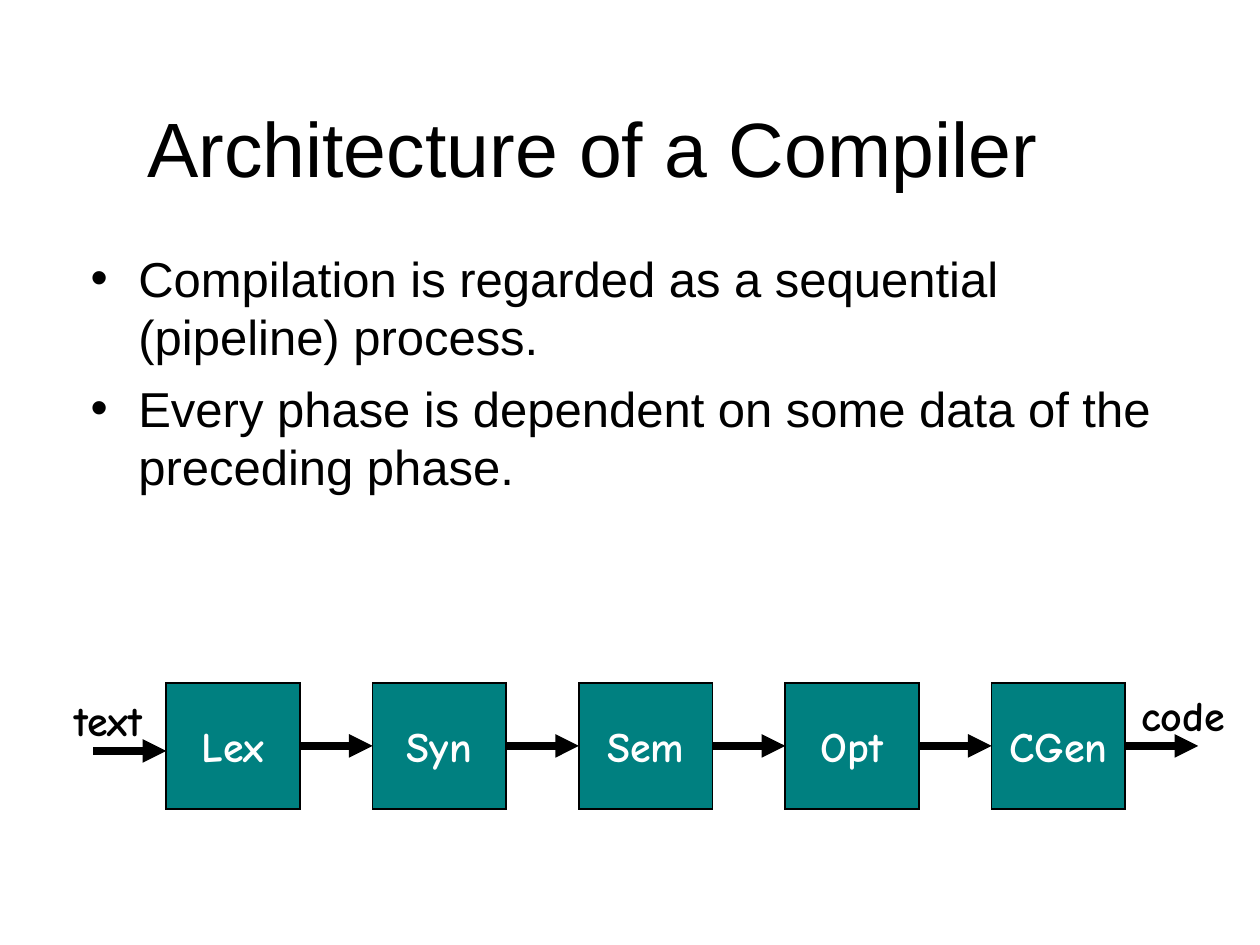
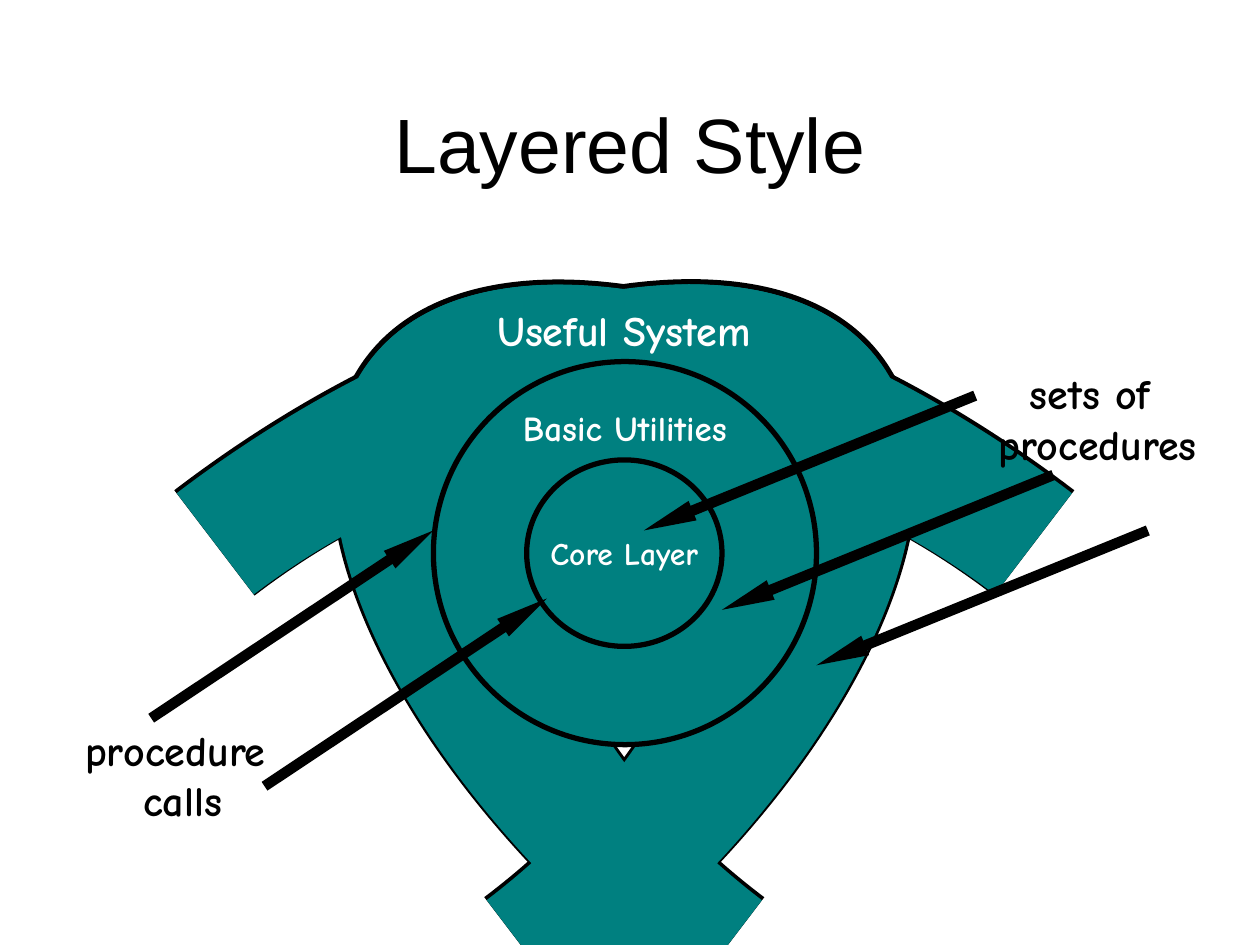
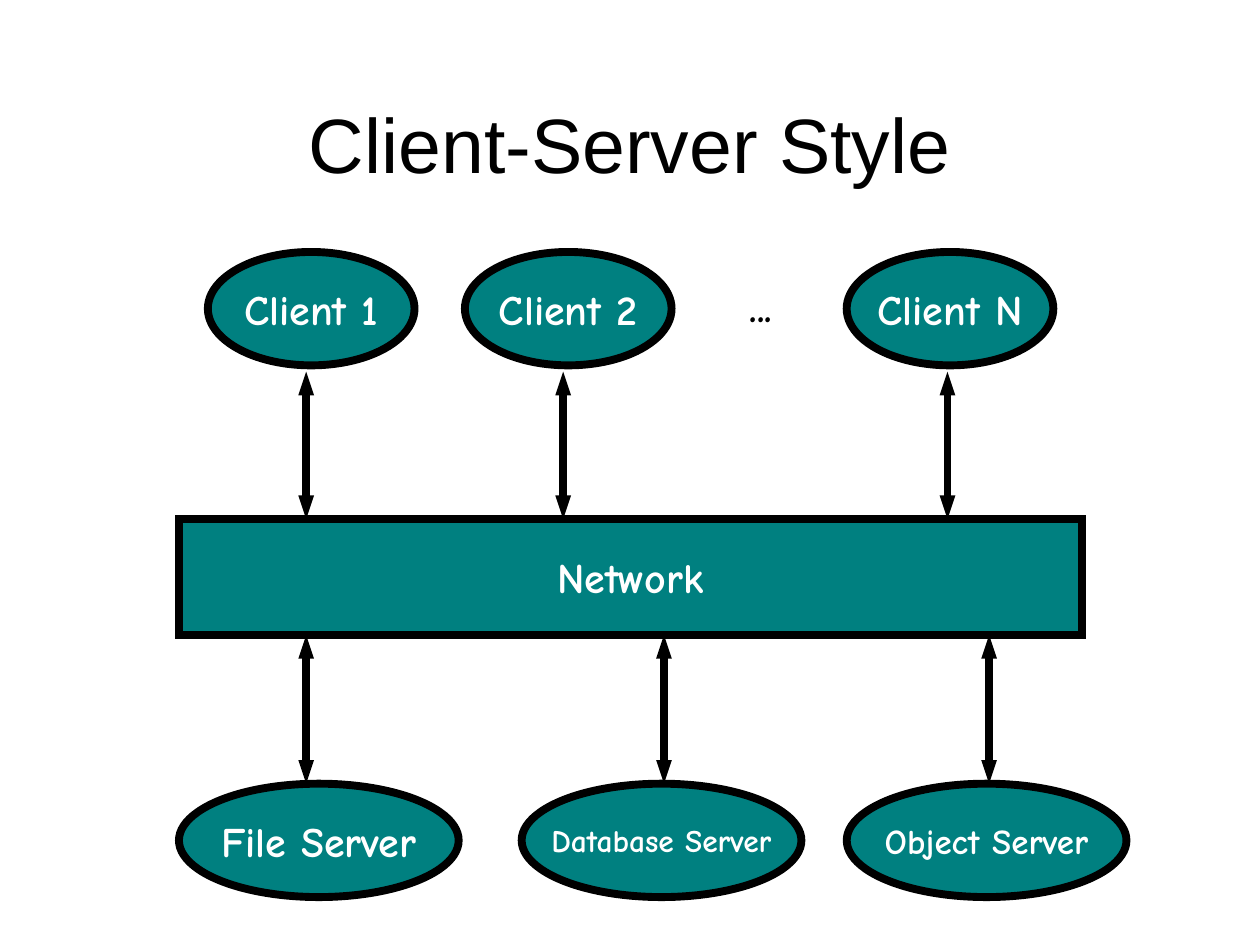
"""Build three slides on software architecture styles."""
import lxml.etree
import pptx
import pptx.dml.color
import pptx.enum.shapes
import pptx.enum.text
import pptx.oxml.ns
import pptx.util

Inches = pptx.util.Inches
Pt = pptx.util.Pt
Shapes = pptx.enum.shapes.MSO_SHAPE
Anchor = pptx.enum.text.MSO_ANCHOR
Align = pptx.enum.text.PP_ALIGN
qn = pptx.oxml.ns.qn

TEAL, BLACK, WHITE = "008080", "000000", "FFFFFF"
TITLE_FONT, LABEL_FONT = "Arial", "Comic Neue"
TITLE_BOX = (0.5, 0.3, 9, 1.25)

ARCH_POINTS = [
    (1.01, 5.07),
    (1.01, 3.4), (1.69, 2.03), (2.53, 2.03),
    (3.38, 2.03), (4.06, 3.4), (4.06, 5.07),
    (5.07, 5.07),
    (5.07, 2.27), (3.93, 0), (2.53, 0),
    (1.14, 0), (0, 2.27), (0, 5.07),
]
ARCH_CURVES = (0, 3, 7, 10)
ARCH_TILT = 52.7


def rgb(value):
    """Turn a hex string into a colour."""
    return pptx.dml.color.RGBColor.from_string(value)


def inches(values):
    """Turn numbers into lengths in inches."""
    return [Inches(value) for value in values]


def shift(box, left, top, *size):
    """Move a place given inside a box to the slide."""
    return (box[0] + left, box[1] + top, *size)


def set_font(paragraph, name, size, color, bold=False):
    """Format a whole paragraph."""
    font = paragraph.font
    font.name, font.size, font.bold = name, Pt(size), bold
    font.color.rgb = rgb(color)


def paint(shape, fill, line_width):
    """Give a shape its fill and black outline with sharp corners."""
    shape.shadow.inherit = False
    if fill:
        shape.fill.solid()
        shape.fill.fore_color.rgb = rgb(fill)
    else:
        shape.fill.background()
    if line_width:
        shape.line.color.rgb = rgb(BLACK)
        shape.line.width = Pt(line_width)
        outline = shape.element.spPr.find(qn("a:ln"))
        lxml.etree.SubElement(outline, qn("a:miter"), lim="800000")
    else:
        shape.line.fill.background()


def write_label(shape, text, size, color):
    """Write centred bold lines into a shape."""
    frame = shape.text_frame
    frame.word_wrap = False
    frame.vertical_anchor = Anchor.MIDDLE
    frame.text = text
    for paragraph in frame.paragraphs:
        paragraph.alignment = Align.CENTER
        set_font(paragraph, LABEL_FONT, size, color, bold=True)


def add_node(slide, kind, place, text, line_width, size=24, fill=TEAL):
    """Add a labelled shape."""
    shape = slide.shapes.add_shape(kind, *inches(place))
    paint(shape, fill, line_width)
    write_label(shape, text, size, WHITE)
    return shape


def add_label(slide, place, text, color=BLACK):
    """Add a free-standing label."""
    shape = slide.shapes.add_textbox(*inches(place))
    write_label(shape, text, 24, color)
    shape.text_frame.auto_size = pptx.enum.text.MSO_AUTO_SIZE.NONE


def add_arrow(slide, start, end, line_width, head=("med", "med"), both=False):
    """Add an arrow whose head is given as width and length."""
    arrow = slide.shapes.add_connector(
        pptx.enum.shapes.MSO_CONNECTOR.STRAIGHT, *inches((*start, *end)))
    arrow.line.color.rgb = rgb(BLACK)
    arrow.line.width = Pt(line_width)
    properties = arrow.element.spPr
    outline = properties.find(qn("a:ln"))
    for tag in ["a:headEnd", "a:tailEnd"] if both else ["a:tailEnd"]:
        lxml.etree.SubElement(
            outline, qn(tag), type="triangle", w=head[0], len=head[1])
    lxml.etree.SubElement(properties, qn("a:effectLst"))
    return arrow


def add_titled_slide(presentation, text, box=TITLE_BOX):
    """Add a title-only slide and format its title."""
    slide = presentation.slides.add_slide(presentation.slide_layouts[5])
    title = slide.shapes.title
    title.left, title.top, title.width, title.height = inches(box)
    frame = title.text_frame
    frame.text = text
    frame.word_wrap = True
    frame.auto_size = pptx.enum.text.MSO_AUTO_SIZE.NONE
    frame.vertical_anchor = Anchor.BOTTOM
    frame.paragraphs[0].alignment = Align.CENTER
    set_font(frame.paragraphs[0], TITLE_FONT, 44, BLACK)
    return slide


def add_bullets(slide, box, items):
    """Add a bulleted list."""
    frame = slide.shapes.add_textbox(*inches(box)).text_frame
    frame.word_wrap = True
    frame.text = "\n".join(items)
    for index, paragraph in enumerate(frame.paragraphs):
        properties = paragraph._p.get_or_add_pPr()
        properties.set("marL", str(Inches(0.38)))
        properties.set("indent", str(-Inches(0.38)))
        lxml.etree.SubElement(properties, qn("a:buFont"), typeface=TITLE_FONT)
        lxml.etree.SubElement(properties, qn("a:buChar"), char="•")
        if index:
            paragraph.space_before = Pt(7)
        set_font(paragraph, TITLE_FONT, 28, BLACK)


def add_pipeline(slide, box, phases):
    """Add evenly spaced phases joined by arrows, with input and output."""
    width, height, reach = 1.06, box[3], 0.58
    step = (box[2] - width) / (len(phases) - 1)
    nodes = [
        add_node(slide, Shapes.RECTANGLE,
                 shift(box, index * step, 0, width, height), phase, 1)
        for index, phase in enumerate(phases)
    ]
    add_label(slide, shift(box, -0.83, 0.04, 0.74, 0.5), "text")
    add_label(slide, shift(box, box[2] + 0.02, 0, 0.88, 0.5), "code")
    add_arrow(slide, shift(box, -reach, 0.54), shift(box, 0, 0.54), 4.5)
    for index, node in enumerate(nodes):
        right = index * step + width
        arrow = add_arrow(slide, shift(box, right, height / 2),
                          shift(box, right + reach, height / 2), 4.5)
        arrow.begin_connect(node, 3)
        if index + 1 < len(nodes):
            arrow.end_connect(nodes[index + 1], 1)


def add_arch(slide, box, tilt, line_width):
    """Add a tilted arch whose sides are cubic curves."""
    points = [inches(shift(box, x, y)) for x, y in ARCH_POINTS]
    builder = slide.shapes.build_freeform(*points[0])
    builder.add_line_segments(points[1:], close=True)
    arch = builder.convert_to_shape()
    path = next(arch.element.iter(qn("a:path")))
    segments = path.findall(qn("a:lnTo"))
    for first in ARCH_CURVES:
        curve = segments[first]
        curve.tag = qn("a:cubicBezTo")
        for segment in segments[first + 1:first + 3]:
            curve.append(segment[0])
            path.remove(segment)
    arch.rotation = tilt
    paint(arch, TEAL, line_width)


def add_shirt(slide, box):
    """Add two crossing arches, first outlined and then filled slightly lower."""
    for spread, top, line_width in ((0.01, -0.16, 3), (0, -0.14, None)):
        for side in (1, -1):
            add_arch(slide, shift(box, 1.01 + side * spread, top),
                     side * ARCH_TILT % 360, line_width)


def add_layers(slide, box):
    """Add the nested layers with their labels and arrows."""
    add_shirt(slide, box)
    add_label(slide, shift(box, -0.84, 3.7, 1.76, 0.9), "procedure \ncalls")
    utilities = add_node(slide, Shapes.OVAL, shift(box, 2.03, 0.87, 3.04, 3.04),
                         "Basic Utilities", 3, size=20)
    utilities.text_frame.vertical_anchor = Anchor.TOP
    utilities.text_frame.margin_top = Inches(-0.09)
    add_node(slide, Shapes.OVAL, shift(box, 2.77, 1.65, 1.55, 1.48),
             "Core Layer", 3, size=18, fill=None)
    add_label(slide, shift(box, 2.43, 0.37, 2.22, 0.5), "Useful System", WHITE)
    add_label(slide, shift(box, 6.41, 0.87, 1.78, 0.9), "sets of \nprocedures")
    calls = [(-0.21, 3.7), (0.69, 4.24)]
    procedures = [(6.33, 1.14), (6.95, 1.77), (7.7, 2.21)]
    for starts, run, rise in ((calls, 2.24, -1.49), (procedures, -2.63, 1.07)):
        for x, y in starts:
            add_arrow(slide, shift(box, x, y), shift(box, x + run, y + rise),
                      6, head=("sm", "lg"))


def add_network(slide, box):
    """Add clients above and servers below a network bar."""
    network_top, network_height, oval_height = 2.12, 0.92, 0.9
    server_top = box[3] - oval_height
    rows = [
        (0, 1.64, [("Client 1", 0.23, 24), ("Client 2", 2.27, 24),
                   ("Client N", 5.3, 24)]),
        (server_top, 2.22, [("File Server", 0, 24), ("Database Server", 2.72, 18),
                            ("Object Server", 5.3, 20)]),
    ]
    for top, width, ovals in rows:
        for text, left, size in ovals:
            add_node(slide, Shapes.OVAL, shift(box, left, top, width, oval_height),
                     text, 4.5, size=size)
    add_label(slide, shift(box, 4.43, 0.18, 0.38, 0.5), "...")
    add_node(slide, Shapes.RECTANGLE,
             shift(box, 0, network_top, 7.17, network_height), "Network", 4.5)
    links = [
        (0.95, network_top, (1.01, 3.05, 6.1)),
        (network_top + network_height, server_top, (1.01, 3.85, 6.43)),
    ]
    for top, bottom, columns in links:
        for x in columns:
            add_arrow(slide, shift(box, x, top), shift(box, x, bottom), 4.5,
                      head=("sm", "med"), both=True)


def main():
    """Build and save the presentation."""
    presentation = pptx.Presentation()
    presentation.slide_width, presentation.slide_height = inches((10, 7.5))

    slide = add_titled_slide(
        presentation, "Architecture of a Compiler", (0.83, 0.25, 7.75, 1.33))
    add_bullets(slide, (0.62, 1.92, 9.05, 4.67), [
        "Compilation is regarded as a sequential (pipeline) process.",
        "Every phase is dependent on some data of the preceding phase.",
    ])
    add_pipeline(slide, (1.32, 5.42, 7.61, 1),
                 ["Lex", "Syn", "Sem", "Opt", "CGen"])

    slide = add_titled_slide(presentation, "Layered Style")
    add_layers(slide, (1.41, 2, 7.1, 5.93))

    slide = add_titled_slide(presentation, "Client-Server Style")
    add_network(slide, (1.42, 2, 7.52, 5.12))

    presentation.save("out.pptx")


if __name__ == "__main__":
    main()
